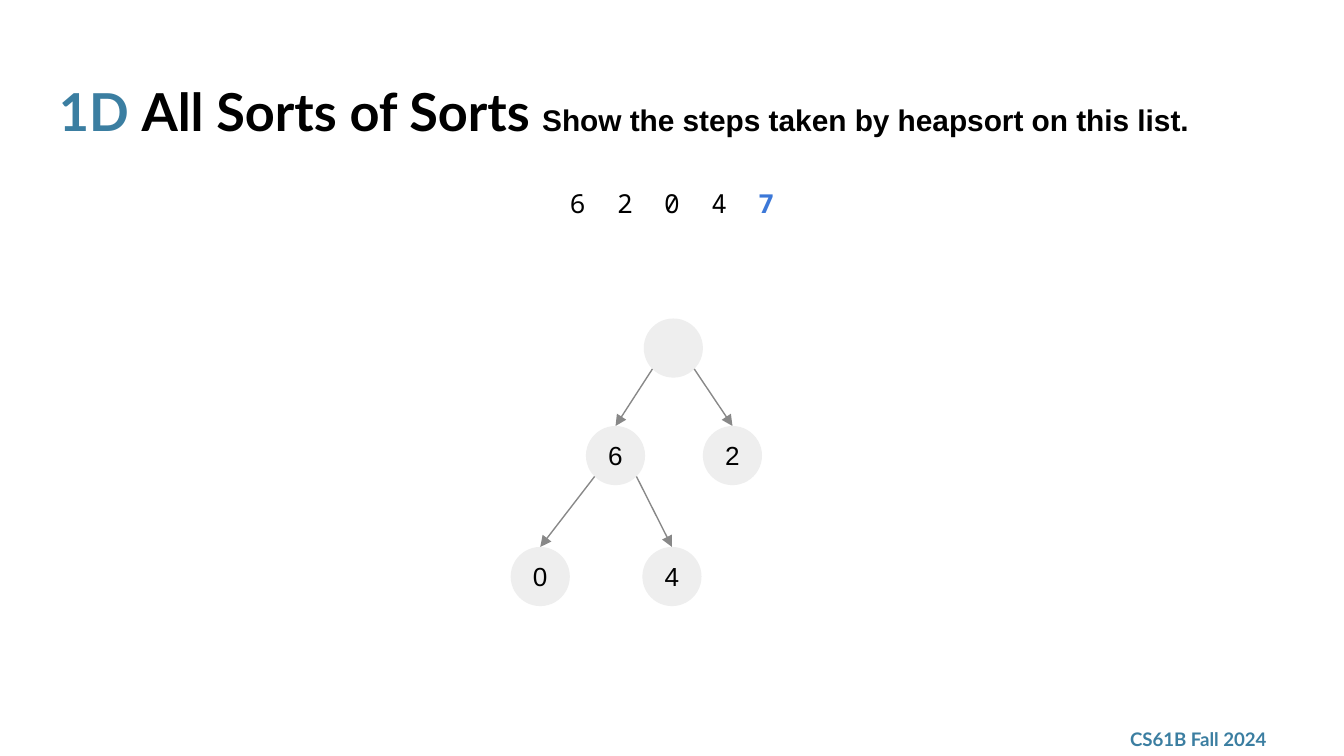
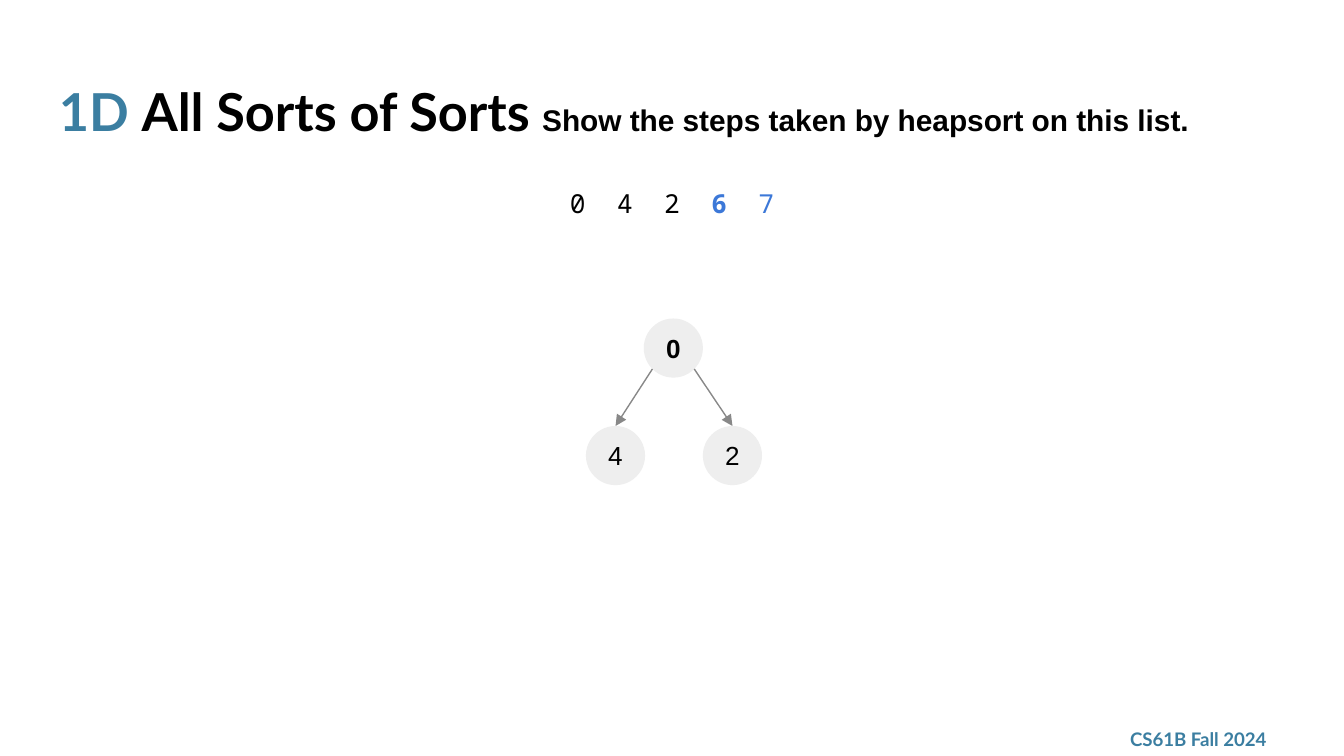
from math import sqrt

from lxml.etree import SubElement as Sub
from pptx import Presentation
from pptx.dml.color import RGBColor as RGB
from pptx.enum.shapes import MSO_CONNECTOR as Line, MSO_SHAPE as Shape
from pptx.enum.text import MSO_ANCHOR as Anchor, PP_ALIGN as Align
from pptx.oxml.ns import qn
from pptx.util import Inches as In, Pt

# Shared look
WIDE = 10
HIGH = WIDE * 9 / 16
EDGE = 0.34
SPAN = WIDE - 2 * EDGE
BLACK, TEAL, BLUE = "000000", "3B7EA1", "3C78D8"
NODE, WIRE = "EEEEEE", "888888"
TITLE = [
    ("1D ", dict(color=TEAL)),
    ("All Sorts of Sorts ", {}),
    ("Show the steps taken by heapsort on this list.", dict(size=16, face="Arial")),
]

# Heap grid: centre of each node, in level order
SIZE = 0.44
ROWS = 2.59, 3.39, 4.29
SPOTS = [(5.01, ROWS[0]), (4.58, ROWS[1]), (5.45, ROWS[1]),
         (4.02, ROWS[2]), (5, ROWS[2])]
SLANT = SIZE / 2 / sqrt(2)

# One step per slide: list, first sorted place, heap values, bold root
STEPS = [
    ("62047", 4, ["", "6", "2", "0", "4"]),
    ("04267", 3, ["0", "4", "2"]),
]


def tint(code):
    return RGB.from_string(code)


def write(box, runs, align=Align.LEFT, anchor=Anchor.TOP, **base):
    """Fill a box with (text, format) runs; base holds the default format."""
    frame = box.text_frame
    frame.word_wrap = True
    frame.vertical_anchor = anchor
    frame.margin_left = frame.margin_right = In(0.1)
    frame.margin_top = frame.margin_bottom = In(0.1)
    par = frame.paragraphs[0]
    par.alignment = align
    for words, own in runs:
        look = dict(size=14, face="Arial", color=BLACK, bold=False) | base | own
        run = par.add_run()
        run.text = words
        font = run.font
        font.size, font.name, font.bold = Pt(look["size"]), look["face"], look["bold"]
        font.color.rgb = tint(look["color"])
        if "track" in look:
            run._r.get_or_add_rPr().set("spc", str(round(look["track"] * 100)))
    return par


deck = Presentation()
deck.slide_width, deck.slide_height = In(WIDE), In(HIGH)

for order, cut, heap in STEPS:
    slide = deck.slides.add_slide(deck.slide_layouts[6])
    parts = slide.shapes

    # Footer and title
    foot = parts.add_textbox(In(8.31), In(5.37), In(1.35), In(0.26))
    write(foot, [("CS61B Fall 2024", {})], anchor=Anchor.MIDDLE,
          size=10, face="Lato", color=TEAL, bold=True)
    head = parts.add_textbox(In(EDGE), In(0.49), In(SPAN), In(0.63))
    write(head, TITLE, size=28, face="Lato", bold=True)

    # Heap nodes
    for i, (value, (x, y)) in enumerate(zip(heap, SPOTS)):
        node = parts.add_shape(Shape.OVAL, In(x - SIZE / 2), In(y - SIZE / 2),
                               In(SIZE), In(SIZE))
        node.shadow.inherit = False
        node.fill.solid()
        node.fill.fore_color.rgb = tint(NODE)
        node.line.fill.background()
        if value:
            write(node, [(value, {})], align=Align.CENTER,
                  anchor=Anchor.MIDDLE, bold=i == 0)

    # List: sorted tail in blue, newest value bold, gaps two letters wide
    runs = []
    for i, digit in enumerate(order):
        if i:
            runs.append((" ", dict(track=8.4)))
        runs.append((digit, dict(color=BLUE if i >= cut else BLACK, bold=i == cut)))
    row = parts.add_textbox(In(EDGE), In(1.26), In(SPAN), In(0.46))
    par = write(row, runs, align=Align.CENTER, face="Noto Sans Mono")
    par.line_spacing, par.space_after = 1.15, Pt(16)

    # Arrows from each parent to its children
    for i in range(1, len(heap)):
        (px, py), (x, y) = SPOTS[(i - 1) // 2], SPOTS[i]
        side = SLANT if x > px else -SLANT
        wire = parts.add_connector(Line.STRAIGHT, In(px + side), In(py + SLANT),
                                   In(x), In(y - SIZE / 2))
        wire.line.color.rgb = tint(WIRE)
        wire.line.width = Pt(0.75)
        Sub(wire.line._get_or_add_ln(), qn("a:tailEnd"), type="triangle")
        Sub(wire._element.spPr, qn("a:effectLst"))

deck.save("out.pptx")
